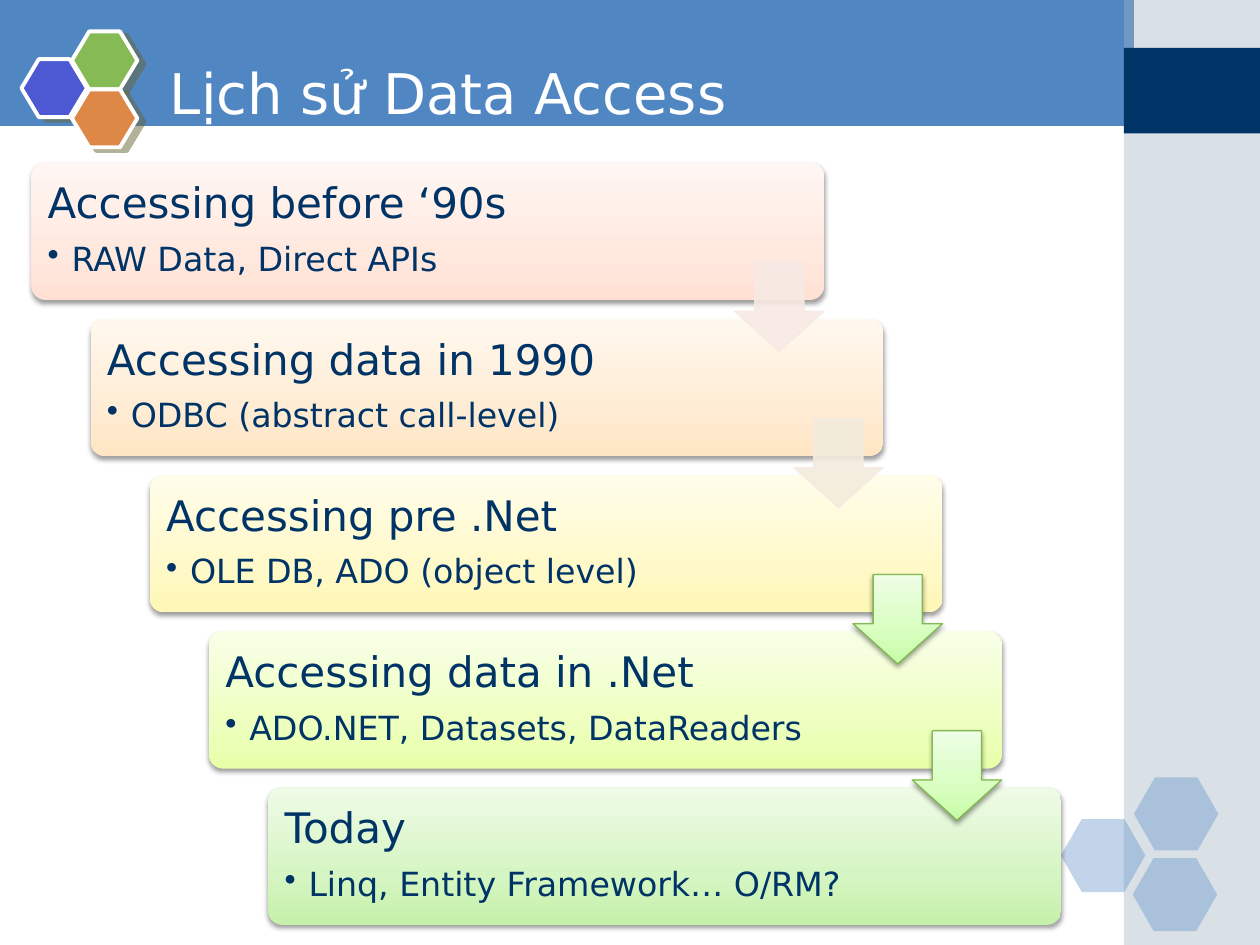
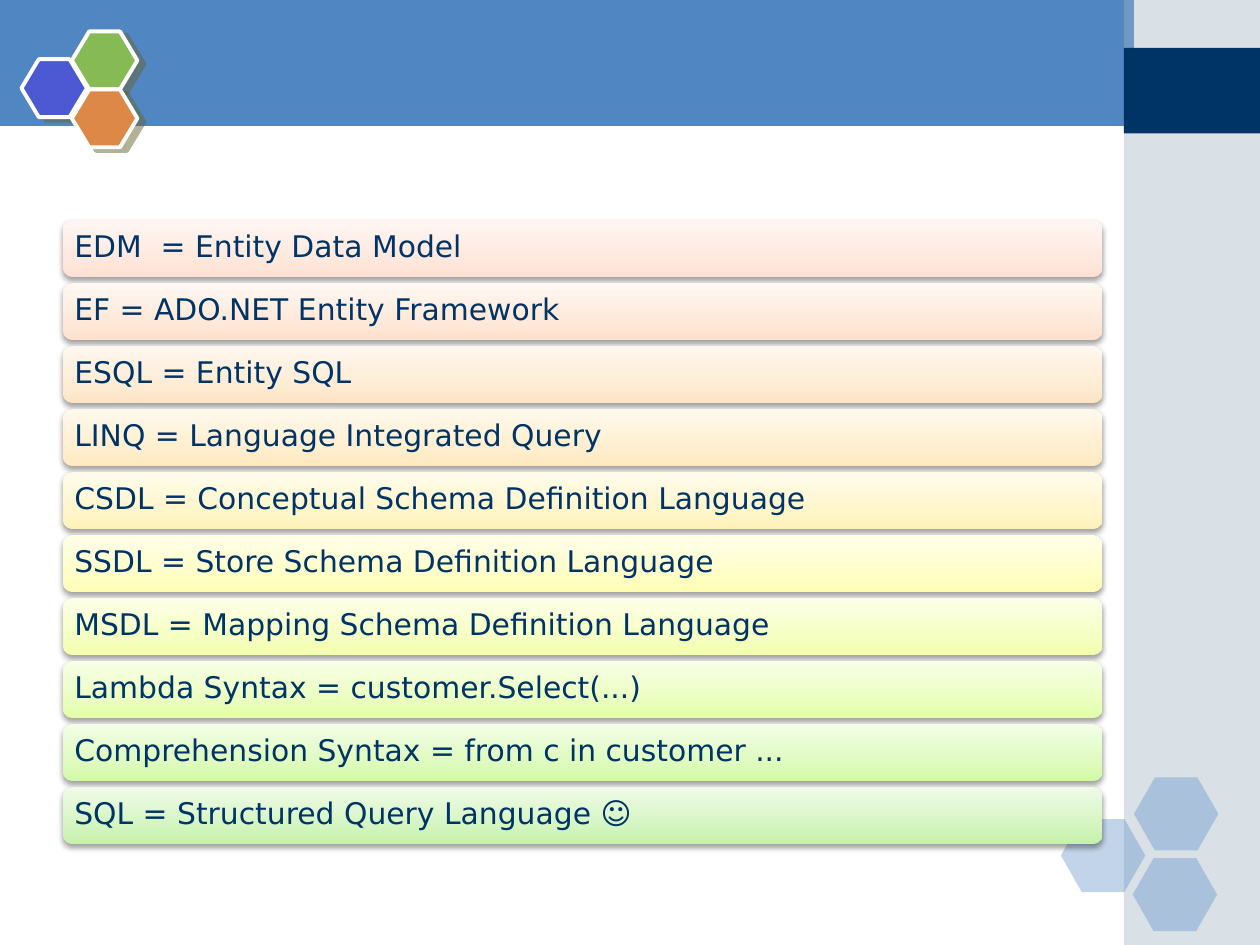
"""Build two slides on data access: a staircase of eras and a list of terms."""
from dataclasses import dataclass

from pptx import Presentation
from pptx.dml.color import RGBColor
from pptx.enum.shapes import MSO_SHAPE
from pptx.enum.text import MSO_ANCHOR
from pptx.oxml import parse_xml
from pptx.oxml.ns import nsdecls, qn
from pptx.util import Inches, Pt


@dataclass(frozen=True)
class Theme:
    font: str = "DejaVu Sans"
    band: str = "5086C2"
    side: str = "A0B5C4"
    navy: str = "003366"
    white: str = "FFFFFF"
    arrow: str = "C7FDA6"
    edge: str = "82B850"
    pale: str = "F8E9E4"
    title: int = 32
    head: int = 24
    note: int = 19
    term: int = 17
    soft: tuple = ("000000", 38, 3.1, 1.6, 90)
    hard: tuple = ("666633", 50, 0, 4.5, 27)


T = Theme()
WIDE, HIGH = 10, 7.5
TITLE = "Lịch sử Data Access"
ERAS = [
    ("Accessing before ‘90s", "RAW Data, Direct APIs", "FFE0D3"),
    ("Accessing data in 1990", "ODBC (abstract call-level)", "FFE5C3"),
    ("Accessing pre .Net", "OLE DB, ADO (object level)", "FFF7B5"),
    ("Accessing data in .Net", "ADO.NET, Datasets, DataReaders", "E7FFA8"),
    ("Today", "Linq, Entity Framework… O/RM?", "C5F1AA"),
]
FADED = ["F8E9E4", "F2ECDC"]
TERMS = [
    ("EDM  = Entity Data Model", "FFE0D3"),
    ("EF = ADO.NET Entity Framework", "FFE1CC"),
    ("ESQL = Entity SQL", "FFE4C5"),
    ("LINQ = Language Integrated Query", "FFE9BE"),
    ("CSDL = Conceptual Schema Definition Language", "FFF2B8"),
    ("SSDL = Store Schema Definition Language", "FFFDB2"),
    ("MSDL = Mapping Schema Definition Language", "F3FFAC"),
    ("Lambda Syntax = customer.Select(...)", "E3FFA7"),
    ("Comprehension Syntax = from c in customer ...", "D2FAA6"),
    ("SQL = Structured Query Language ☺", "C5F1AA"),
]
LOGO = [(0.17, 0.47, "4C59D2"), (0.57, 0.25, "85BA54"), (0.57, 0.71, "DE8848")]
CELLS = [(8.42, 6.5), (9, 6.17), (8.99, 6.81)]


def rgb(code):
    return RGBColor.from_string(code)


def tint(code, part):
    tones = bytes.fromhex(code)
    return "".join(f"{round(tone + (255 - tone) * part):02X}" for tone in tones)


def fade(shape, code):
    stops = "".join(
        f'<a:gs pos="{at * 1000}"><a:srgbClr val="{tint(code, part)}"/></a:gs>'
        for at, part in ((0, 0), (35, 0.28), (100, 0.72)))
    props = shape._element.spPr
    props.replace(props.find(qn("a:solidFill")), parse_xml(
        f'<a:gradFill {nsdecls("a")} rotWithShape="1"><a:gsLst>{stops}</a:gsLst>'
        '<a:lin ang="16200000" scaled="0"/></a:gradFill>'))


def shade(shape, look):
    code, alpha, blur, dist, turn = look
    shape._element.spPr.find(qn("a:effectLst")).append(parse_xml(
        f'<a:outerShdw {nsdecls("a")} blurRad="{Pt(blur)}" dist="{Pt(dist)}" '
        f'dir="{turn * 60000}" algn="ctr" rotWithShape="0"><a:srgbClr val="{code}">'
        f'<a:alpha val="{alpha * 1000}"/></a:srgbClr></a:outerShdw>'))


def paint(shape, fill, line=None, width=0.75, alpha=None, shadow=None, grad=False):
    shape.shadow.inherit = False
    shape.fill.solid()
    shape.fill.fore_color.rgb = rgb(fill)
    if line:
        shape.line.color.rgb = rgb(line)
        shape.line.width = Pt(width)
    else:
        shape.line.fill.background()
    if alpha:
        for tone in shape._element.spPr.iter(qn("a:srgbClr")):
            tone.append(parse_xml(f'<a:alpha {nsdecls("a")} val="{alpha * 1000}"/>'))
    if grad:
        fade(shape, fill)
    if shadow:
        shade(shape, shadow)


def draw(slide, kind, box, fill, adjust=(), **look):
    shape = slide.shapes.add_shape(kind, *map(Inches, box))
    for spot, value in enumerate(adjust):
        shape.adjustments[spot] = value
    paint(shape, fill, **look)


def style(para, size, color):
    para.font.name = T.font
    para.font.size = Pt(size)
    para.font.color.rgb = rgb(color)


def write(slide, box, lines, pad):
    frame = slide.shapes.add_textbox(*map(Inches, box)).text_frame
    frame.word_wrap = True
    frame.vertical_anchor = MSO_ANCHOR.MIDDLE
    frame.margin_left = frame.margin_right = Inches(pad)
    frame.margin_top = frame.margin_bottom = Inches(pad)
    for rank, (text, size) in enumerate(lines):
        para = frame.add_paragraph() if rank else frame.paragraphs[0]
        para.text = text
        para.line_spacing = 0.9
        props = para._p.get_or_add_pPr()
        props.append(parse_xml(
            f'<a:spcAft {nsdecls("a")}><a:spcPct val="{15000 if rank else 35000}"/></a:spcAft>'))
        if rank:
            para.level = 1
            props.set("marL", str(Inches(0.19)))
            props.set("indent", str(Inches(-0.19)))
            props.append(parse_xml(f'<a:buChar {nsdecls("a")} char="•"/>'))
        style(para, size, T.navy)


def base(deck):
    slide = deck.slides.add_slide(deck.slide_layouts[6])
    pen = slide.shapes.build_freeform(-0.01, 0.38, scale=Inches(1))
    pen.add_line_segments([(8.95, 0.38), (8.95, 1.06), (-0.01, 1.07)])
    paint(pen.convert_to_shape(), T.band)
    draw(slide, MSO_SHAPE.RECTANGLE, (8.92, 0, 1.08, HIGH), T.side, alpha=40)
    draw(slide, MSO_SHAPE.RECTANGLE, (8.92, 0.38, 1.08, 0.68), T.navy)
    for left, top in CELLS:
        draw(slide, MSO_SHAPE.HEXAGON, (left, top, 0.67, 0.58), T.band, (0.286,), alpha=35)
    for left, top, fill in LOGO:
        draw(slide, MSO_SHAPE.HEXAGON, (left, top, 0.52, 0.46), fill, (0.3,),
             line=T.white, width=2.25, shadow=T.hard)
    return slide


def head(slide, text):
    frame = slide.shapes.add_textbox(*map(Inches, (1.25, 0.42, 7.33, 0.62))).text_frame
    frame.word_wrap = True
    frame.vertical_anchor = MSO_ANCHOR.MIDDLE
    frame.text = text
    style(frame.paragraphs[0], T.title, T.white)


def stairs(slide):
    wide, high, side = 6.29, 1.09, 0.71
    spots = [(0.25 + 0.47 * step, 1.29 + 1.24 * step) for step in range(len(ERAS))]
    for (left, top), (name, note, fill) in zip(spots, ERAS):
        draw(slide, MSO_SHAPE.ROUNDED_RECTANGLE, (left, top, wide, high), fill, (0.1,),
             shadow=T.soft, grad=True)
        write(slide, (left + 0.03, top + 0.03, 5.05, 1.02),
              [(name, T.head), (note, T.note)], 0.1)
    for step, (left, top) in enumerate(spots[:-1]):
        box = (left + wide - side, top + 0.79, side, side)
        if step < len(FADED):
            fill, look = FADED[step], dict(line=T.pale, alpha=90)
        else:
            fill, look = T.arrow, dict(line=T.edge, shadow=T.soft, grad=True)
        draw(slide, MSO_SHAPE.DOWN_ARROW, box, fill, (0.55, 0.45), **look)


def terms(slide):
    for row, (text, fill) in enumerate(TERMS):
        top = 1.75 + 0.5 * row
        draw(slide, MSO_SHAPE.ROUNDED_RECTANGLE, (0.5, top, 8.25, 0.45), fill,
             shadow=T.soft, grad=True)
        write(slide, (0.52, top + 0.02, 8.21, 0.4), [(text, T.term)], 0.07)


def main():
    deck = Presentation()
    deck.slide_width, deck.slide_height = Inches(WIDE), Inches(HIGH)
    first = base(deck)
    head(first, TITLE)
    stairs(first)
    terms(base(deck))
    deck.save("out.pptx")


main()
